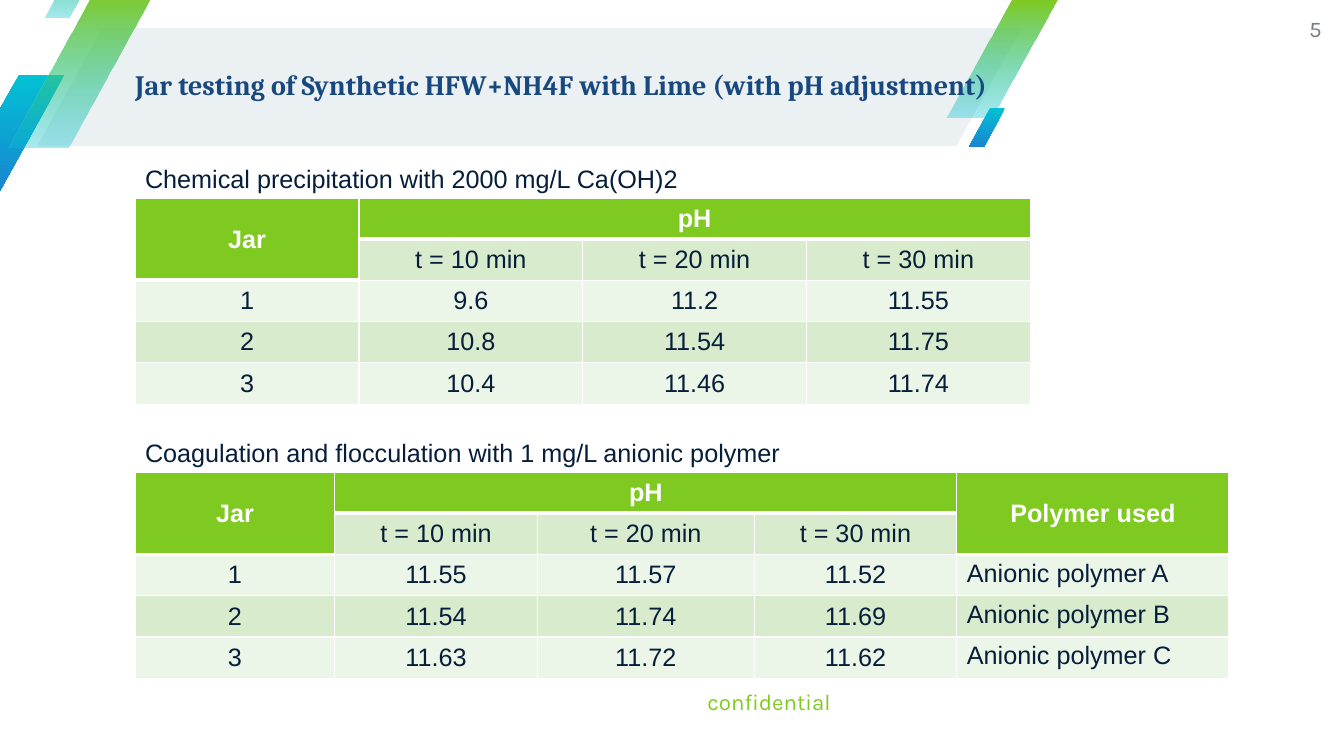
from lxml.etree import SubElement
from pptx import Presentation
from pptx.dml.color import RGBColor
from pptx.enum.shapes import MSO_SHAPE as Preset
from pptx.enum.text import MSO_ANCHOR as Anchor, PP_ALIGN as Align
from pptx.oxml.ns import qn
from pptx.util import Inches, Pt

GREEN = RGBColor(0x7F, 0xCA, 0x20)
CYAN = RGBColor(0x02, 0xC1, 0xD3)
BLUE = RGBColor(0x19, 0x85, 0xD2)
NAVY = RGBColor(0x18, 0x48, 0x80)
INK = RGBColor(0x06, 0x1E, 0x3A)
GREY = RGBColor(0x75, 0x7C, 0x83)
WHITE = RGBColor(0xFF, 0xFF, 0xFF)
BANNER = RGBColor(0xEB, 0xF0, 0xF3)
DARK_BAND = RGBColor(0xD8, 0xEC, 0xCD)
LIGHT_BAND = RGBColor(0xEC, 0xF6, 0xE8)

TITLE = "Jar testing of Synthetic HFW+NH4F with Lime (with pH adjustment)"
FOOTER = "confidential"
SLIDE_NUMBER = "5"
TIMES = ["t = 10 min", "t = 20 min", "t = 30 min"]
TESTS = [
    {
        "caption": "Chemical precipitation with 2000 mg/L Ca(OH)2",
        "top": 1.57, "caption_width": 5.54,
        "columns": [2.22] * 4,
        "rows": [
            ["Jar", "pH", "", ""],
            ["", *TIMES],
            ["1", "9.6", "11.2", "11.55"],
            ["2", "10.8", "11.54", "11.75"],
            ["3", "10.4", "11.46", "11.74"],
        ],
    },
    {
        "caption": "Coagulation and flocculation with 1 mg/L anionic polymer",
        "top": 4.29, "caption_width": 6.63,
        "columns": [1.98, 2.01, 2.15, 2.01, 2.7],
        "rows": [
            ["Jar", "pH", "", "", "Polymer used"],
            ["", *TIMES, ""],
            ["1", "11.55", "11.57", "11.52", "Anionic polymer A"],
            ["2", "11.54", "11.74", "11.69", "Anionic polymer B"],
            ["3", "11.63", "11.72", "11.62", "Anionic polymer C"],
        ],
    },
]
FADE = (GREEN, CYAN, 34)
DEEP = (CYAN, BLUE, 100)
STRIPES = [
    ((-0.46, 0.74, 1.1, 1.17), DEEP),
    ((9.39, 0, 1.1, 1.17), FADE),
    ((0.08, -0.1, 1.46, 1.56), FADE),
    ((0.44, -0.48, 0.61, 0.65), FADE),
    ((9.61, 1.07, 0.36, 0.39), DEEP),
]

LEFT = 1.34
CAPTION_HEIGHT = 0.4
HEAD_ROW, BODY_ROW = 0.39, 0.41
POLYMER_COLUMN = 4


def write(frame, text, size=18, font="Arial", color=INK, bold=False,
          align=Align.LEFT, anchor=None, spacing=None):
    line = frame.paragraphs[0]
    line.text = text
    line.alignment = align
    line.line_spacing = spacing
    line.font.size, line.font.name = Pt(size), font
    line.font.color.rgb, line.font.bold = color, bold
    if anchor is not None:
        frame.vertical_anchor = anchor


def add_text(slide, box, text, inset=True, **style):
    frame = slide.shapes.add_textbox(*map(Inches, box)).text_frame
    frame.word_wrap = True
    if not inset:
        frame.margin_left = frame.margin_right = 0
        frame.margin_top = frame.margin_bottom = 0
    write(frame, text, **style)


def add_slant(slide, box, slant):
    shape = slide.shapes.add_shape(Preset.PARALLELOGRAM, *map(Inches, box))
    shape.adjustments[0] = slant
    shape.shadow.inherit = False
    shape.line.fill.background()
    return shape


def add_stripe(slide, box, start, end, opacity):
    stripe = add_slant(slide, box, 0.59)
    stripe.fill.gradient()
    stripe.fill.gradient_angle = 270
    for stop, color in zip(stripe.fill.gradient_stops, (start, end)):
        stop.color.rgb = color
    if opacity < 100:
        end_color = list(stripe._element.spPr.iter(qn("a:srgbClr")))[-1]
        SubElement(end_color, qn("a:alpha"), val=str(opacity * 1000))


def add_borders(cell, top, bottom):
    properties = cell._tc.get_or_add_tcPr()
    for side, width in (("L", 1), ("R", 1), ("T", top), ("B", bottom)):
        border = SubElement(properties, qn(f"a:ln{side}"), w=str(Pt(width)))
        fill = SubElement(border, qn("a:solidFill"))
        SubElement(fill, qn("a:srgbClr"), val=str(WHITE))


def add_results(slide, top, columns, rows):
    heights = [HEAD_ROW] + [BODY_ROW] * (len(rows) - 1)
    box = (LEFT, top, sum(columns), sum(heights))
    table = slide.shapes.add_table(len(rows), len(columns), *map(Inches, box)).table
    for column, width in zip(table.columns, columns):
        column.width = Inches(width)
    for row, height in zip(table.rows, heights):
        row.height = Inches(height)

    def is_head(r, c):
        return r == 0 or (r == 1 and not rows[1][c])

    for r, row in enumerate(rows):
        for c, text in enumerate(row):
            cell = table.cell(r, c)
            head = is_head(r, c)
            add_borders(cell, 3 if r and is_head(r - 1, c) else 1, 3 if head else 1)
            cell.fill.solid()
            cell.fill.fore_color.rgb = GREEN if head else DARK_BAND if r % 2 else LIGHT_BAND
            polymer = c == POLYMER_COLUMN and not head
            cell.vertical_anchor = Anchor.TOP if polymer else Anchor.MIDDLE
            write(cell.text_frame, text, color=WHITE if head else INK, bold=head,
                  align=Align.LEFT if polymer else Align.CENTER)
    for c in range(len(columns)):
        if is_head(1, c):
            table.cell(0, c).merge(table.cell(1, c))
    table.cell(0, 1).merge(table.cell(0, len(TIMES)))


def main():
    """Build the jar testing slide."""
    deck = Presentation()
    deck.slide_width, deck.slide_height = Inches(13.33), Inches(7.5)
    slide = deck.slides.add_slide(deck.slide_layouts[6])
    banner = add_slant(slide, (0.37, 0.28, 9.76, 1.17), 0.55)
    banner.fill.solid()
    banner.fill.fore_color.rgb = BANNER
    for box, gradient in STRIPES:
        add_stripe(slide, box, *gradient)
    add_text(slide, (4.67, 6.67, 3.57, 0.57), FOOTER, inset=False, size=16,
             font="Karla", color=GREEN, align=Align.RIGHT, anchor=Anchor.MIDDLE)
    add_text(slide, (LEFT, 0.26, 8.79, 1.19), TITLE, inset=False, size=20,
             font="Cambria", color=NAVY, bold=True, anchor=Anchor.MIDDLE, spacing=0.9)
    add_text(slide, (12.48, 0, 0.63, 0.57), SLIDE_NUMBER, inset=False, size=16,
             font="Karla", color=GREY, align=Align.RIGHT, anchor=Anchor.MIDDLE)
    for test in TESTS:
        top = test["top"]
        add_text(slide, (LEFT, top, test["caption_width"], CAPTION_HEIGHT), test["caption"])
        add_results(slide, top + CAPTION_HEIGHT, test["columns"], test["rows"])
    deck.save("out.pptx")


if __name__ == "__main__":
    main()
